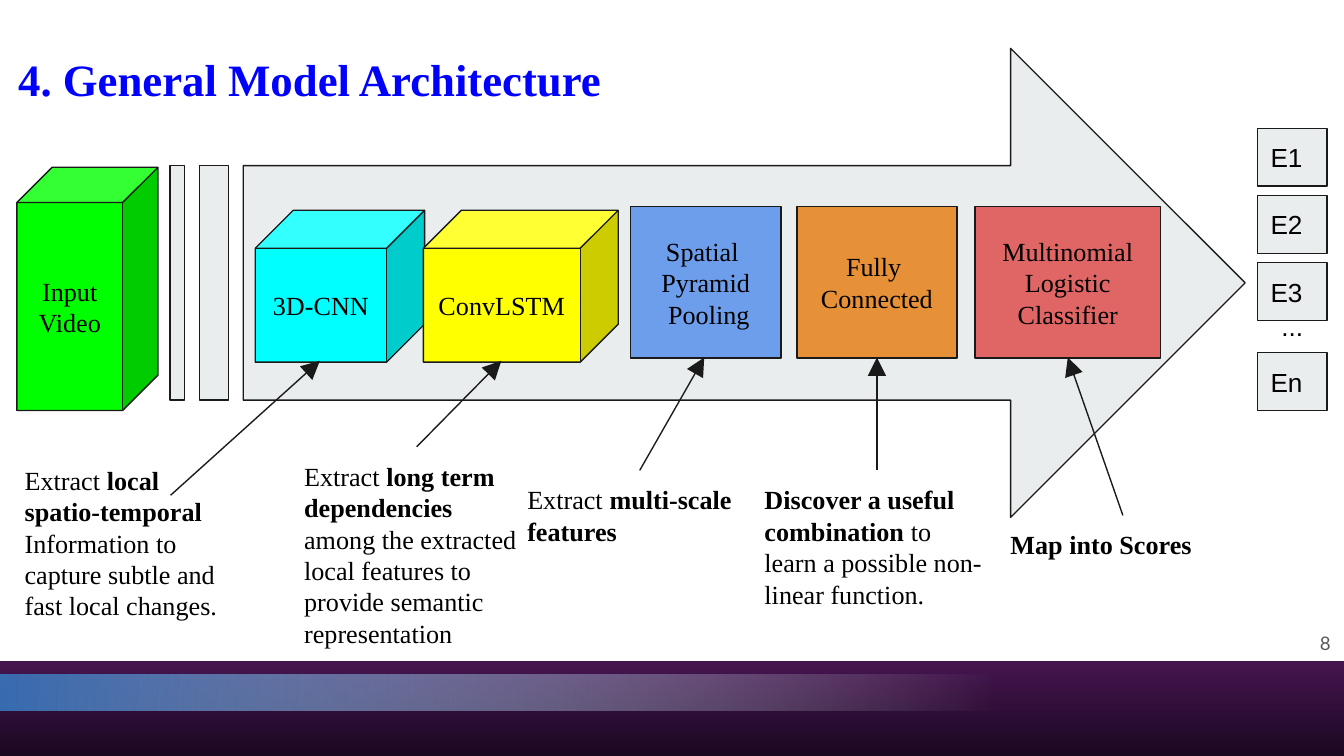
from lxml.etree import SubElement
from pptx import Presentation
from pptx.dml.color import RGBColor
from pptx.enum.shapes import MSO_CONNECTOR, MSO_SHAPE
from pptx.enum.text import MSO_ANCHOR, PP_ALIGN
from pptx.oxml.ns import qn
from pptx.util import Pt

PX = 4572
SERIF, SANS = "Times New Roman", "Arial"
COLORS = {
    "title": "0000FF", "text": "000000", "number": "595959", "line": "1A1A1A",
    "panel": "E9EDEE", "video": "00FF00", "cnn": "00FFFF", "lstm": "FFFF00",
    "pooling": "6D9EEB", "connected": "E69138", "classifier": "E06666",
    "footer_top": "45154F", "footer_bottom": "1B0821",
    "band": "386CB0", "fade": "FFFFFF",
}
STAGES = [
    (MSO_SHAPE.CUBE, 127, 241, 252, 226, "cnn", "3D-CNN"),
    (MSO_SHAPE.CUBE, 377, 241, 290, 226, "lstm", "ConvLSTM"),
    (MSO_SHAPE.RECTANGLE, 685, 235, 224, 226, "pooling", "Spatial \nPyramid\n Pooling"),
    (MSO_SHAPE.RECTANGLE, 933, 235, 238, 226, "connected", "Fully \nConnected"),
    (MSO_SHAPE.RECTANGLE, 1198, 235, 276, 226, "classifier",
     "Multinomial\nLogistic\nClassifier"),
]
CAPTIONS = [
    (17, 6, 354, 286, (254, 72), (476, -128),
     "Extract *local spatio-temporal *Information to capture subtle and fast local changes."),
    (433, 0, 374, 208, (620, 0), (746, -128),
     "Extract *long term dependencies *among the extracted local features "
     "to provide semantic representation"),
    (765, 35, 374, 260, (952, 35), (1048, -133), "Extract *multi-scale features"),
    (1118, 35, 374, 260, (1305, 35), (1305, -133),
     "*Discover a useful combination *to learn a possible non-linear function."),
    (1484, 102, 374, 130, (1671, 102), (1589, -133), "*Map into Scores"),
]


def rgb(name):
    return RGBColor.from_string(COLORS[name])


def emu(*lengths):
    return [n * PX for n in lengths]


def style_font(font, name, size, color, bold=False):
    font.name, font.size, font.bold = name, Pt(size), bold
    font.color.rgb = rgb(color)


def write(sp, text, name=SERIF, size=14, color="text",
          align=PP_ALIGN.LEFT, anchor=MSO_ANCHOR.TOP):
    tf = sp.text_frame
    tf.word_wrap = True
    tf.vertical_anchor = anchor
    tf.margin_left = tf.margin_right = tf.margin_top = tf.margin_bottom = 20 * PX
    for i, line in enumerate(text.split("\n")):
        p = tf.add_paragraph() if i else tf.paragraphs[0]
        p.alignment = align
        for j, part in enumerate(line.split("*")):
            if part:
                r = p.add_run()
                r.text = part
                style_font(r.font, name, size, color, j % 2 == 1)


def add_block(slide, kind, box, color):
    sp = slide.shapes.add_shape(kind, *emu(*box))
    sp.shadow.inherit = False
    sp.fill.solid()
    sp.fill.fore_color.rgb = rgb(color)
    sp.line.color.rgb = rgb("line")
    sp.line.width = Pt(0.75)
    return sp


def add_text(slide, box, text, **style):
    sp = slide.shapes.add_textbox(*emu(*box))
    write(sp, text, **style)


def add_arrow(slide, start, end):
    cx = slide.shapes.add_connector(MSO_CONNECTOR.STRAIGHT, *emu(*start, *end))
    cx.line.color.rgb = rgb("line")
    cx.line.width = Pt(0.75)
    ln = cx.line._get_or_add_ln()
    SubElement(ln, qn("a:tailEnd"), type="triangle", w="lg", len="lg")
    SubElement(cx._element.spPr, qn("a:effectLst"))


def add_gradient(slide, box, colors, angle):
    sp = slide.shapes.add_shape(MSO_SHAPE.RECTANGLE, *emu(*box))
    sp.shadow.inherit = False
    sp.line.fill.background()
    sp.fill.gradient()
    sp.fill.gradient_angle = angle
    for stop, color, position in zip(sp.fill.gradient_stops, colors, (0, 1)):
        stop.color.rgb = rgb(color)
        stop.position = position
    return sp


def add_footer(slide, box):
    x, y, w, h = box
    add_gradient(slide, box, ("footer_top", "footer_bottom"), 270)
    band = add_gradient(slide, (x, y + 21, 1484, 53), ("band", "fade"), 355)
    last = band._element.spPr.findall(".//" + qn("a:srgbClr"))[-1]
    SubElement(last, qn("a:alpha"), val="0")


def add_title(slide, box):
    sp = slide.shapes.title
    sp.left, sp.top, sp.width, sp.height = emu(*box)
    write(sp, "*4. General Model Architecture", size=24, color="title",
          anchor=MSO_ANCHOR.MIDDLE)


def add_pipeline(slide, box):
    x, y, w, h = box
    add_block(slide, MSO_SHAPE.STRIPED_RIGHT_ARROW, box, "panel")
    video = add_block(slide, MSO_SHAPE.CUBE, (x - 228, y + 177, 210, 362), "video")
    write(video, "Input\nVideo", align=PP_ALIGN.CENTER, anchor=MSO_ANCHOR.MIDDLE)
    for kind, dx, dy, sw, sh, color, text in STAGES:
        sp = add_block(slide, kind, (x + dx, y + dy, sw, sh), color)
        write(sp, text, align=PP_ALIGN.CENTER, anchor=MSO_ANCHOR.MIDDLE)


def add_scores(slide, box):
    x, y, w, h = box
    cell_h, step = 86, 100
    tops = [y + i * step for i in range(3)] + [y + h - cell_h]
    for label, top in zip(("E1", "E2", "E3", "En"), tops):
        sp = add_block(slide, MSO_SHAPE.RECTANGLE, (x, top, w, cell_h), "panel")
        write(sp, label, name=SANS, anchor=MSO_ANCHOR.MIDDLE)
    add_text(slide, (x, y + 251, w, 160), "...", name=SANS, align=PP_ALIGN.CENTER)


def add_captions(slide, box):
    x, y, w, h = box
    for dx, dy, cw, ch, start, end, text in CAPTIONS:
        add_text(slide, (x + dx, y + dy, cw, ch), text)
        add_arrow(slide, *((x + px, y + py) for px, py in (start, end)))


def add_number(slide, box):
    add_text(slide, box, "8", name="Lato", size=10, color="number",
             align=PP_ALIGN.RIGHT, anchor=MSO_ANCHOR.MIDDLE)


def main():
    prs = Presentation()
    prs.slide_width, prs.slide_height = emu(2000, 1125)
    slide = prs.slides.add_slide(prs.slide_layouts[5])
    add_footer(slide, (0, 983, 2000, 142))
    add_title(slide, (7, 11, 1986, 212))
    add_pipeline(slide, (253, 72, 1600, 698))
    add_scores(slide, (1871, 191, 104, 420))
    add_captions(slide, (0, 665, 1858, 292))
    add_number(slide, (1880, 914, 120, 86))
    prs.save("out.pptx")


if __name__ == "__main__":
    main()
